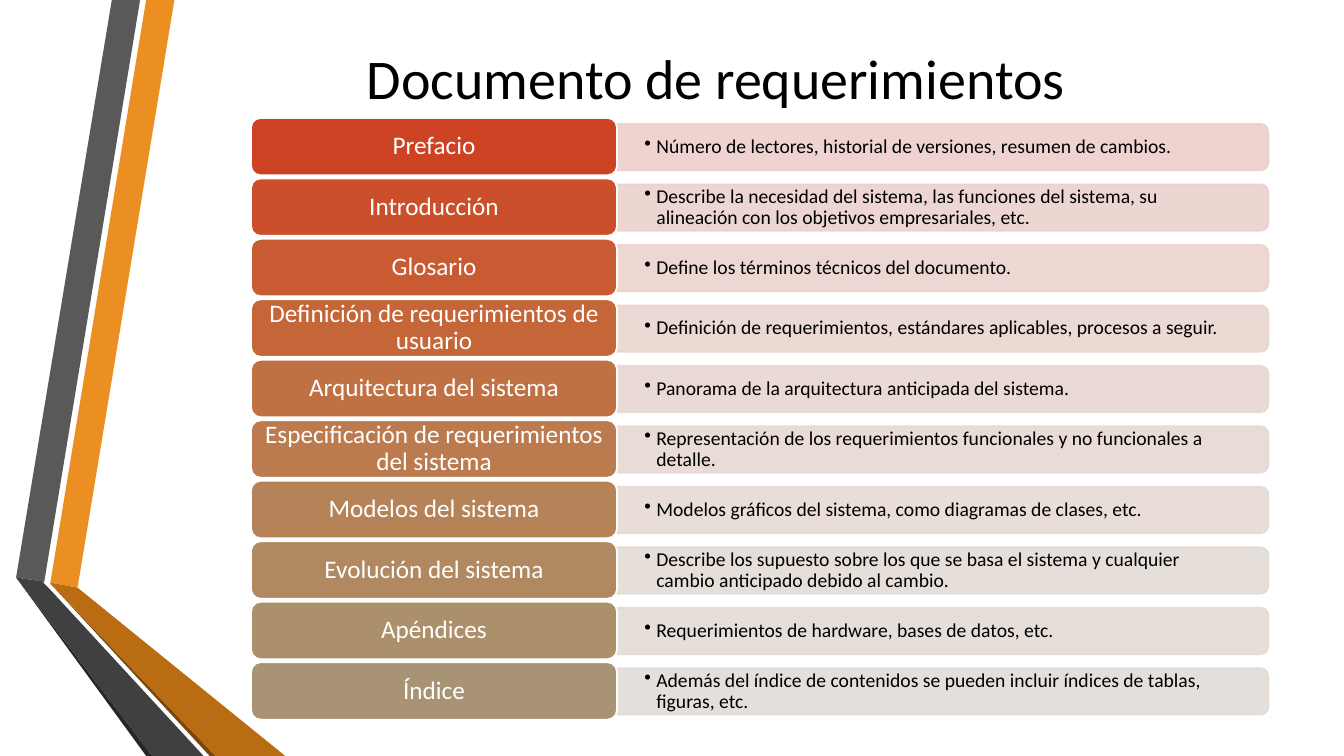
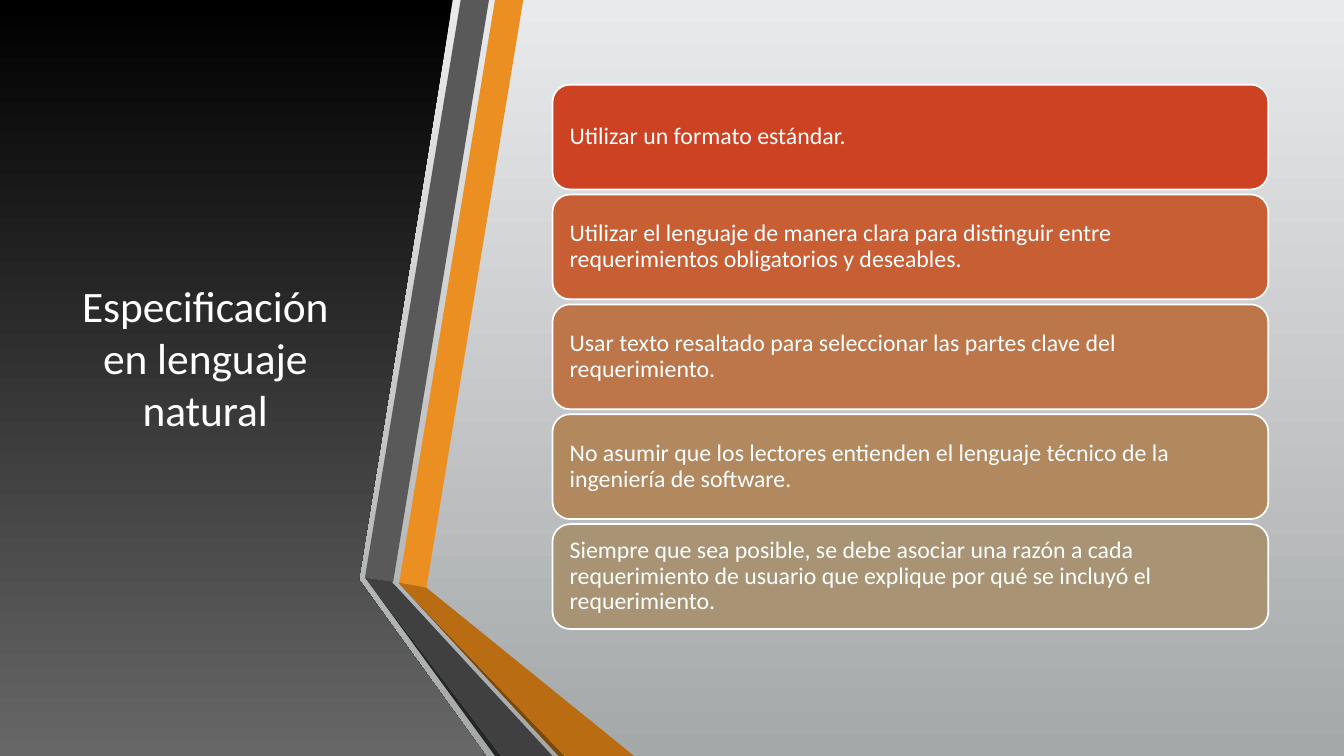
from colorsys import hls_to_rgb, rgb_to_hls
from dataclasses import dataclass

from lxml.etree import SubElement
from pptx import Presentation
from pptx.dml.color import RGBColor
from pptx.dml.fill import FillFormat
from pptx.enum.shapes import MSO_SHAPE
from pptx.enum.text import MSO_ANCHOR, PP_ALIGN
from pptx.oxml.ns import qn
from pptx.shapes.autoshape import Shape
from pptx.slide import Slide
from pptx.util import Inches, Pt

SLIDE_WIDTH, SLIDE_HEIGHT = 13.33, 7.5
FONT = "Calibri"
BLACK = RGBColor(0x00, 0x00, 0x00)
WHITE = RGBColor(0xFF, 0xFF, 0xFF)
ORANGE = RGBColor(0xEB, 0x8F, 0x22)
DARK_ORANGE = RGBColor(0xB9, 0x6C, 0x11)
BROWN = RGBColor(0x7B, 0x48, 0x0B)
GRAY = RGBColor(0x59, 0x59, 0x59)
DARK_GRAY = RGBColor(0x40, 0x40, 0x40)
CHARCOAL = RGBColor(0x26, 0x26, 0x26)
PANEL_GRAY = RGBColor(0x67, 0x67, 0x67)
SKY_TOP = RGBColor(0xE9, 0xEA, 0xEB)
SKY_BOTTOM = RGBColor(0xA5, 0xA8, 0xA9)
RED = RGBColor(0xCD, 0x42, 0x23)
TAN = RGBColor(0xA8, 0x93, 0x74)
PALE_RED = RGBColor(0xED, 0xCF, 0xCD)
PALE_TAN = RGBColor(0xE2, 0xDC, 0xD6)


@dataclass(frozen=True)
class Box:
    left: float
    top: float
    width: float
    height: float


@dataclass(frozen=True)
class Column:
    """Equal cells stacked at a fixed pitch, in inches."""

    first: Box
    pitch: float

    def cell(self, row: int) -> Box:
        first = self.first
        return Box(first.left, first.top + row * self.pitch, first.width, first.height)


@dataclass(frozen=True)
class Outline:
    """A closed polygon, in hundredths of an inch."""

    color: RGBColor
    points: tuple[tuple[int, int], ...]


@dataclass(frozen=True)
class Section:
    name: str
    description: str


RIBBON = (
    Outline(ORANGE, ((50, 578), (77, 583), (173, 0), (145, 0))),
    Outline(GRAY, ((139, 0), (111, 0), (16, 573), (44, 577))),
    Outline(CHARCOAL, ((16, 573), (145, 750), (151, 750))),
    Outline(BROWN, ((50, 579), (208, 750), (214, 750))),
    Outline(DARK_ORANGE, ((50, 578), (50, 579), (214, 750), (283, 750), (77, 583))),
    Outline(DARK_GRAY, ((202, 750), (48, 583), (43, 578), (44, 577), (16, 573), (151, 750))),
)
RIBBON_SHIFT = 3.46
TITLE_PANEL = Outline(BLACK, ((353, 0), (449, 0), (356, 575), (482, 750), (0, 750), (0, 0)))

NAME_COLUMN = Column(Box(2.49, 1.17, 3.63, 0.57), 0.6)
BAR_COLUMN = Column(Box(6.12, 1.23, 6.46, 0.46), 0.6)
RULE_COLUMN = Column(Box(5.48, 0.84, 7.1, 1.04), 1.09)

SECTIONS = (
    Section("Prefacio", "Número de lectores, historial de versiones, resumen de cambios."),
    Section(
        "Introducción",
        "Describe la necesidad del sistema, las funciones del sistema, su alineación "
        "con los objetivos empresariales, etc.",
    ),
    Section("Glosario", "Define los términos técnicos del documento."),
    Section(
        "Definición de requerimientos de usuario",
        "Definición de requerimientos, estándares aplicables, procesos a seguir.",
    ),
    Section("Arquitectura del sistema", "Panorama de la arquitectura anticipada del sistema."),
    Section(
        "Especificación de requerimientos del sistema",
        "Representación de los requerimientos funcionales y no funcionales a detalle.",
    ),
    Section(
        "Modelos del sistema",
        "Modelos gráficos del sistema, como diagramas de clases, etc.",
    ),
    Section(
        "Evolución del sistema",
        "Describe los supuesto sobre los que se basa el sistema y cualquier cambio "
        "anticipado debido al cambio.",
    ),
    Section("Apéndices", "Requerimientos de hardware, bases de datos, etc."),
    Section(
        "Índice",
        "Además del índice de contenidos se pueden incluir índices de tablas, figuras, etc.",
    ),
)
RULES = (
    "Utilizar un formato estándar.",
    "Utilizar el lenguaje de manera clara para distinguir entre requerimientos "
    "obligatorios y deseables.",
    "Usar texto resaltado para seleccionar las partes clave del requerimiento.",
    "No asumir que los lectores entienden el lenguaje técnico de la ingeniería de software.",
    "Siempre que sea posible, se debe asociar una razón a cada requerimiento de usuario "
    "que explique por qué se incluyó el requerimiento.",
)


def color_ramp(start: RGBColor, end: RGBColor, count: int) -> list[RGBColor]:
    """Blend two colours in equal steps of hue, lightness and saturation."""
    first, last = (rgb_to_hls(*(part / 255 for part in color)) for color in (start, end))
    colors = []
    for step in range(count):
        share = step / (count - 1)
        blend = (a + (b - a) * share for a, b in zip(first, last))
        colors.append(RGBColor(*(round(part * 255) for part in hls_to_rgb(*blend))))
    return colors


def fill_downward(fill: FillFormat, top: RGBColor, bottom: RGBColor) -> None:
    fill.gradient()
    fill.gradient_angle = 270
    for stop, color in zip(fill.gradient_stops, (top, bottom)):
        stop.color.rgb = color


def add_outline(slide: Slide, outline: Outline, shift: float = 0) -> Shape:
    builder = slide.shapes.build_freeform(*outline.points[0], scale=Inches(0.01))
    builder.add_line_segments(outline.points[1:], close=True)
    shape = builder.convert_to_shape(Inches(shift))
    shape.shadow.inherit = False
    shape.fill.solid()
    shape.fill.fore_color.rgb = outline.color
    shape.line.fill.background()
    return shape


def add_ribbon(slide: Slide, shift: float = 0) -> None:
    for outline in RIBBON:
        add_outline(slide, outline, shift)


def add_filled_shape(
    slide: Slide, kind: MSO_SHAPE, box: Box, fill: RGBColor, line: RGBColor
) -> Shape:
    shape = slide.shapes.add_shape(
        kind, Inches(box.left), Inches(box.top), Inches(box.width), Inches(box.height)
    )
    shape.shadow.inherit = False
    shape.fill.solid()
    shape.fill.fore_color.rgb = fill
    shape.line.color.rgb = line
    shape.line.width = Pt(1.25)
    return shape


def add_bar(slide: Slide, box: Box, color: RGBColor) -> None:
    """Draw a translucent bar whose right end is rounded."""
    upright = Box(
        box.left + (box.width - box.height) / 2,
        box.top + (box.height - box.width) / 2,
        box.height,
        box.width,
    )
    bar = add_filled_shape(slide, MSO_SHAPE.ROUND_2_SAME_RECTANGLE, upright, color, color)
    bar.rotation = 90
    for color_element in bar.element.spPr.iter(qn("a:srgbClr")):
        SubElement(color_element, qn("a:alpha"), val="90000")


def write_text(
    shape: Shape,
    text: str,
    *,
    size: float,
    color: RGBColor,
    align: PP_ALIGN = PP_ALIGN.LEFT,
    spacing: float = 0.9,
    inset: float = 0.1,
    bullet: bool = False,
) -> None:
    frame = shape.text_frame
    frame.word_wrap = True
    frame.vertical_anchor = MSO_ANCHOR.MIDDLE
    frame.margin_left = frame.margin_right = Inches(inset)
    frame.margin_top = frame.margin_bottom = Inches(0.05)
    paragraph = frame.paragraphs[0]
    paragraph.alignment = align
    if bullet:
        properties = paragraph._p.get_or_add_pPr()
        properties.set("marL", str(Inches(0.12)))
        properties.set("indent", str(-Inches(0.12)))
        SubElement(properties, qn("a:buChar"), char="•")
    paragraph.line_spacing = spacing
    run = paragraph.add_run()
    run.text = text
    run.font.name = FONT
    run.font.size = Pt(size)
    run.font.color.rgb = color


def add_text(slide: Slide, box: Box, text: str, **text_format) -> None:
    shape = slide.shapes.add_textbox(
        Inches(box.left), Inches(box.top), Inches(box.width), Inches(box.height)
    )
    write_text(shape, text, **text_format)


def add_title(slide: Slide, box: Box, text: str, *, size: float, color: RGBColor) -> None:
    add_text(slide, box, text, size=size, color=color, align=PP_ALIGN.CENTER, spacing=1.0)


def add_card(slide: Slide, box: Box, text: str, fill: RGBColor, **text_format) -> None:
    card = add_filled_shape(slide, MSO_SHAPE.ROUNDED_RECTANGLE, box, fill, WHITE)
    write_text(card, text, color=WHITE, **text_format)


def build_document_slide(slide: Slide) -> None:
    add_ribbon(slide)
    add_title(
        slide, Box(1.62, 0.36, 10.96, 0.81), "Documento de requerimientos", size=40, color=BLACK
    )
    card_colors = color_ramp(RED, TAN, len(SECTIONS))
    bar_colors = color_ramp(PALE_RED, PALE_TAN, len(SECTIONS))
    for row, section in enumerate(SECTIONS):
        bar_box = BAR_COLUMN.cell(row)
        add_bar(slide, bar_box, bar_colors[row])
        add_text(
            slide, bar_box, section.description, size=14, color=BLACK, inset=0.27, bullet=True
        )
        add_card(
            slide, NAME_COLUMN.cell(row), section.name, card_colors[row],
            size=18, align=PP_ALIGN.CENTER,
        )


def build_language_slide(slide: Slide) -> None:
    fill_downward(slide.background.fill, SKY_TOP, SKY_BOTTOM)
    panel = add_outline(slide, TITLE_PANEL)
    fill_downward(panel.fill, BLACK, PANEL_GRAY)
    add_title(
        slide, Box(0.59, 0.75, 2.89, 5.58), "Especificación en lenguaje natural",
        size=31, color=WHITE,
    )
    add_ribbon(slide, RIBBON_SHIFT)
    for row, (rule, color) in enumerate(zip(RULES, color_ramp(RED, TAN, len(RULES)))):
        add_card(slide, RULE_COLUMN.cell(row), rule, color, size=17, inset=0.12)


def main() -> None:
    presentation = Presentation()
    presentation.slide_width = Inches(SLIDE_WIDTH)
    presentation.slide_height = Inches(SLIDE_HEIGHT)
    blank_layout = presentation.slide_layouts[6]
    for build_slide in (build_document_slide, build_language_slide):
        build_slide(presentation.slides.add_slide(blank_layout))
    presentation.save("out.pptx")


if __name__ == "__main__":
    main()
